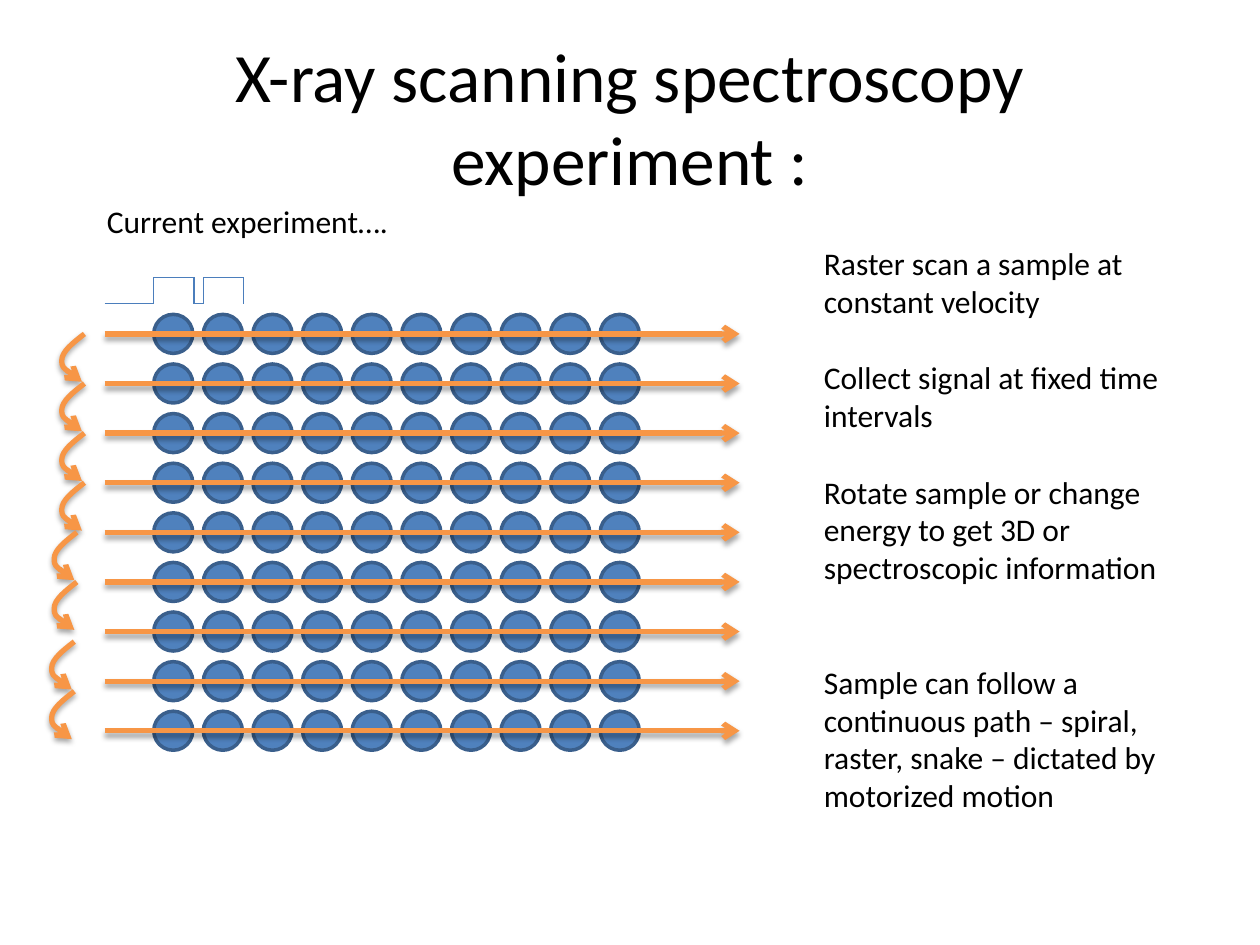
from lxml.etree import SubElement
from pptx import Presentation
from pptx.dml.color import RGBColor
from pptx.enum.shapes import MSO_CONNECTOR, MSO_SHAPE
from pptx.enum.text import MSO_ANCHOR, PP_ALIGN
from pptx.oxml.ns import qn
from pptx.util import Inches, Pt

ROWS, COLUMNS = 9, 10
PITCH = 3.15 / (ROWS - 1)
FIRST_ROW = 2.65
DOT_LEFT, DOT_SIZE = 1.22, 0.31
SCAN_LEFT, SCAN_RIGHT = 0.83, 5.87
PULSE_TOP, PULSE_BASE, PULSE_WIDTH = 2.2, 2.41, 0.32
BLUE, DARK_BLUE, PULSE_BLUE, ORANGE = "4F81BD", "3A5F8C", "4B7EBC", "F79646"
HOOK_CURVE = [(-0.09, 0.07), (-0.18, 0.14), (-0.18, 0.21),
              (-0.18, 0.27), (-0.1, 0.33), (-0.02, 0.38)]
HOOK_STARTS = [(0.67, 0)] * 4 + [(0.61, 0)] * 2 + [(0.59, 0.08)] * 2
NOTES = [
    ("Raster scan a sample at constant velocity", 0),
    ("Collect signal at fixed time intervals", 22),
    ("Rotate sample or change energy to get 3D or spectroscopic information", 22),
    ("Sample can follow a continuous path – spiral, raster, snake – dictated by motorized motion", 44),
]


def color(value):
    return RGBColor.from_string(value)


def row_center(row):
    return FIRST_ROW + row * PITCH


def set_line(shape, line_color, width):
    shape.line.color.rgb = color(line_color)
    shape.line.width = Pt(width)


def set_effects(shape, shadow=False):
    properties = shape._element.spPr
    effects = properties.find(qn("a:effectLst"))
    if effects is None:
        effects = SubElement(properties, qn("a:effectLst"))
    if shadow:
        outer = SubElement(effects, qn("a:outerShdw"), blurRad=str(Pt(3.1)),
                           dist=str(Pt(1.8)), dir="5400000", rotWithShape="0")
        shade = SubElement(outer, qn("a:srgbClr"), val="000000")
        SubElement(shade, qn("a:alpha"), val="35000")


def style_arrow(shape):
    set_line(shape, ORANGE, 3)
    SubElement(shape.line._get_or_add_ln(), qn("a:tailEnd"), type="arrow")
    set_effects(shape, shadow=True)


def add_text(slide, paragraphs, left, top, width, height, size=18,
             align=PP_ALIGN.LEFT, anchor=MSO_ANCHOR.TOP):
    box = slide.shapes.add_textbox(Inches(left), Inches(top), Inches(width), Inches(height))
    frame = box.text_frame
    frame.word_wrap = True
    frame.vertical_anchor = anchor
    for index, (text, space_before) in enumerate(paragraphs):
        paragraph = frame.add_paragraph() if index else frame.paragraphs[0]
        paragraph.alignment = align
        paragraph.space_before = Pt(space_before)
        run = paragraph.add_run()
        run.text = text
        run.font.name = "Calibri"
        run.font.size = Pt(size)
        run.font.color.rgb = color("000000")


def add_dot(slide, column, row):
    dot = slide.shapes.add_shape(
        MSO_SHAPE.OVAL, Inches(DOT_LEFT + column * PITCH),
        Inches(row_center(row) - DOT_SIZE / 2), Inches(DOT_SIZE), Inches(DOT_SIZE))
    dot.fill.solid()
    dot.fill.fore_color.rgb = color(BLUE)
    set_line(dot, DARK_BLUE, 2)
    dot.shadow.inherit = False


def add_line(slide, start, end):
    return slide.shapes.add_connector(
        MSO_CONNECTOR.STRAIGHT, *(Inches(value) for value in (*start, *end)))


def add_scan_arrow(slide, row):
    y = row_center(row)
    style_arrow(add_line(slide, (SCAN_LEFT, y), (SCAN_RIGHT, y)))


def add_hook(slide, x, y):
    builder = slide.shapes.build_freeform(Inches(x), Inches(y))
    builder.add_line_segments(
        [(Inches(x + dx), Inches(y + dy)) for dx, dy in HOOK_CURVE], close=False)
    hook = builder.convert_to_shape()
    outline = next(hook._element.iter(qn("a:path")))
    segments = outline.findall(qn("a:lnTo"))
    for first in range(0, len(segments), 3):
        curve = SubElement(outline, qn("a:cubicBezTo"))
        for segment in segments[first:first + 3]:
            curve.append(segment[0])
            outline.remove(segment)
    hook.fill.background()
    style_arrow(hook)


def add_pulses(slide):
    first, second = DOT_LEFT, DOT_LEFT + PITCH
    points = [(SCAN_LEFT, PULSE_BASE)]
    for left in (first, second):
        right = left + PULSE_WIDTH
        points += [(left, PULSE_BASE), (left, PULSE_TOP),
                   (right, PULSE_TOP), (right, PULSE_BASE)]
    for start, end in zip(points, points[1:]):
        line = add_line(slide, start, end)
        set_line(line, PULSE_BLUE, 0.75)
        set_effects(line)


def main():
    presentation = Presentation()
    presentation.slide_width = Inches(10)
    presentation.slide_height = Inches(7.5)
    slide = presentation.slides.add_slide(presentation.slide_layouts[6])

    add_text(slide, [("X-ray scanning spectroscopy experiment :", 0)], 0.5, 0.3, 9, 1.25,
             size=39.6, align=PP_ALIGN.CENTER, anchor=MSO_ANCHOR.MIDDLE)
    add_text(slide, [("Current experiment….", 0)], 0.75, 1.55, 8.43, 1.01)
    for row in range(ROWS):
        for column in range(COLUMNS):
            add_dot(slide, column, row)
    for row in range(ROWS):
        add_scan_arrow(slide, row)
    for row, (x, drop) in enumerate(HOOK_STARTS):
        add_hook(slide, x, row_center(row) + drop)
    add_pulses(slide)
    add_text(slide, NOTES, 6.44, 1.89, 2.99, 4.64)

    presentation.save("out.pptx")


if __name__ == "__main__":
    main()
